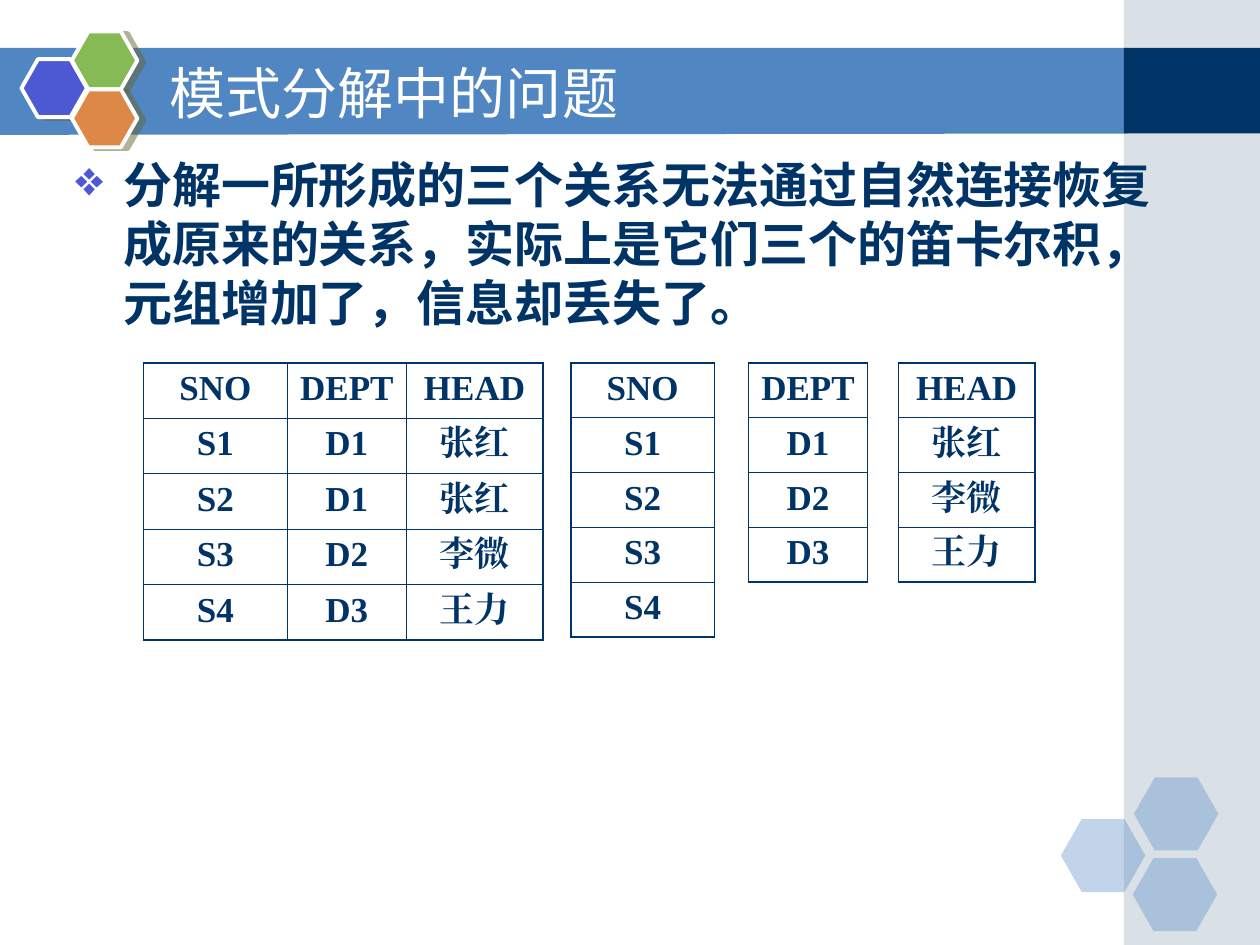
from lxml import etree
from pptx import Presentation
from pptx.dml.color import RGBColor
from pptx.enum.shapes import MSO_SHAPE
from pptx.enum.text import MSO_ANCHOR, PP_ALIGN
from pptx.oxml.ns import qn
from pptx.util import Inches, Pt

RECT, HEXAGON = MSO_SHAPE.RECTANGLE, MSO_SHAPE.HEXAGON
TOP, MIDDLE = MSO_ANCHOR.TOP, MSO_ANCHOR.MIDDLE
CENTER = PP_ALIGN.CENTER
COLORS = {
    "white": "FFFFFF", "navy": "003366", "blue": "5086C2", "side": "A0B5C4",
    "indigo": "4C59D2", "green": "85BA54", "orange": "DE8848", "shadow": "666633",
}
SANS, SERIF = "DejaVu Sans", "Times New Roman"
THIN, THICK = 0.45, 1.08
SNO_W, DEPT_W, HEAD_W = 1.14, 0.945, 1.085


def rgb(name):
    return RGBColor.from_string(COLORS[name])


def add(parent, tag, **attrs):
    el = etree.SubElement(parent, qn(tag))
    for key, value in attrs.items():
        el.set(key, str(value))
    return el


class SlideBuilder:
    """Draws styled elements on the current slide."""

    def __init__(self, slide):
        self.slide = slide

    def paint(self, sp, color, alpha=None):
        sp.shadow.inherit = False
        sp.fill.solid()
        sp.fill.fore_color.rgb = rgb(color)
        sp.line.fill.background()
        if alpha is not None:
            clr = sp._element.spPr.find(qn("a:solidFill"))[0]
            add(clr, "a:alpha", val=alpha * 1000)

    def shape(self, kind, x, y, w, h, color, alpha=None):
        sp = self.slide.shapes.add_shape(kind, Inches(x), Inches(y), Inches(w), Inches(h))
        self.paint(sp, color, alpha)
        return sp

    def hexagon(self, x, y, w, h, color, alpha=None):
        sp = self.shape(HEXAGON, x, y, w, h, color, alpha)
        sp.adjustments[0] = 0.285
        return sp

    def badge(self, x, y, color):
        sp = self.hexagon(x, y, 0.52, 0.46, color)
        sp.line.color.rgb = rgb("white")
        sp.line.width = Pt(2.25)
        effects = sp._element.spPr.find(qn("a:effectLst"))
        shadow = add(effects, "a:outerShdw", dist=Pt(4.1), dir=14 * 60000,
                     algn="ctr", rotWithShape=0)
        clr = add(shadow, "a:srgbClr", val=COLORS["shadow"])
        add(clr, "a:alpha", val=50000)

    def polygon(self, points, color):
        pts = [(Inches(x), Inches(y)) for x, y in points]
        builder = self.slide.shapes.build_freeform(*pts[0])
        builder.add_line_segments(pts[1:], close=True)
        self.paint(builder.convert_to_shape(), color)

    def style(self, p, size, font, color, bold):
        for r in p.runs:
            r.font.size = Pt(size)
            r.font.name = font
            r.font.bold = bold
            r.font.color.rgb = rgb(color)
            add(r._r.get_or_add_rPr(), "a:ea", typeface=font)

    def text(self, x, y, w, h, text, size, color, bold=False, anchor=TOP, bullet=None):
        sp = self.slide.shapes.add_textbox(Inches(x), Inches(y), Inches(w), Inches(h))
        tf = sp.text_frame
        tf.word_wrap = True
        tf.vertical_anchor = anchor
        p = tf.paragraphs[0]
        p.text = text
        if bullet:
            pPr = p._p.get_or_add_pPr()
            pPr.set("marL", str(Inches(0.38)))
            pPr.set("indent", str(-Inches(0.38)))
            add(add(pPr, "a:buClr"), "a:srgbClr", val=COLORS["indigo"])
            add(pPr, "a:buChar", char=bullet)
        self.style(p, size, SANS, color, bold)

    def borders(self, cell, left, right, top, bottom):
        tcPr = cell._tc.get_or_add_tcPr()
        sides = {"L": left, "R": right, "T": top, "B": bottom}
        for side, outer in sides.items():
            ln = add(tcPr, f"a:ln{side}", w=Pt(THICK if outer else THIN))
            add(add(ln, "a:solidFill"), "a:srgbClr", val=COLORS["navy"])

    def table(self, x, y, widths, rows, row_h):
        n, m = len(rows), len(widths)
        frame = self.slide.shapes.add_table(
            n, m, Inches(x), Inches(y), Inches(sum(widths)), Inches(row_h * n))
        table = frame.table
        table.first_row = table.horz_banding = False
        for column, width in zip(table.columns, widths):
            column.width = Inches(width)
        for i, row in enumerate(rows):
            for j, value in enumerate(row):
                cell = table.cell(i, j)
                self.borders(cell, j == 0, j == m - 1, i == 0, i == n - 1)
                cell.fill.background()
                p = cell.text_frame.paragraphs[0]
                p.text = value
                p.alignment = CENTER
                self.style(p, 20, SERIF, "navy", True)


def main():
    prs = Presentation()
    prs.slide_width, prs.slide_height = Inches(10), Inches(7.5)
    s = SlideBuilder(prs.slides.add_slide(prs.slide_layouts[6]))

    s.polygon([(-0.01, 0.38), (8.95, 0.38), (8.95, 1.06), (-0.01, 1.07)], "blue")
    s.shape(RECT, 8.92, 0, 1.08, 7.5, "side", 40)
    s.shape(RECT, 8.92, 0.38, 1.08, 0.68, "navy")
    for x, y in [(8.42, 6.5), (9, 6.17), (8.99, 6.81)]:
        s.hexagon(x, y, 0.67, 0.58, "blue", 35)
    for x, y, color in [(0.17, 0.47, "indigo"), (0.57, 0.25, "green"), (0.57, 0.71, "orange")]:
        s.badge(x, y, color)

    s.text(1.25, 0.42, 7.33, 0.62, "模式分解中的问题", 32, "white", anchor=MIDDLE)
    s.text(0.5, 1.18, 9, 5.74,
           "分解一所形成的三个关系无法通过自然连接恢复成原来的关系，"
           "实际上是它们三个的笛卡尔积，元组增加了，信息却丢失了。",
           28, "navy", bold=True, bullet="❖")

    relation = [
        ("SNO", "DEPT", "HEAD"),
        ("S1", "D1", "张红"),
        ("S2", "D1", "张红"),
        ("S3", "D2", "李微"),
        ("S4", "D3", "王力"),
    ]
    s.table(1.14, 2.88, [SNO_W, DEPT_W, HEAD_W], relation, 0.44)
    projections = zip((4.53, 5.94, 7.13), (SNO_W, DEPT_W, HEAD_W), zip(*relation))
    for x, width, column in projections:
        values = [(value,) for value in dict.fromkeys(column)]
        s.table(x, 2.88, [width], values, 0.435)

    prs.save("out.pptx")


if __name__ == "__main__":
    main()
